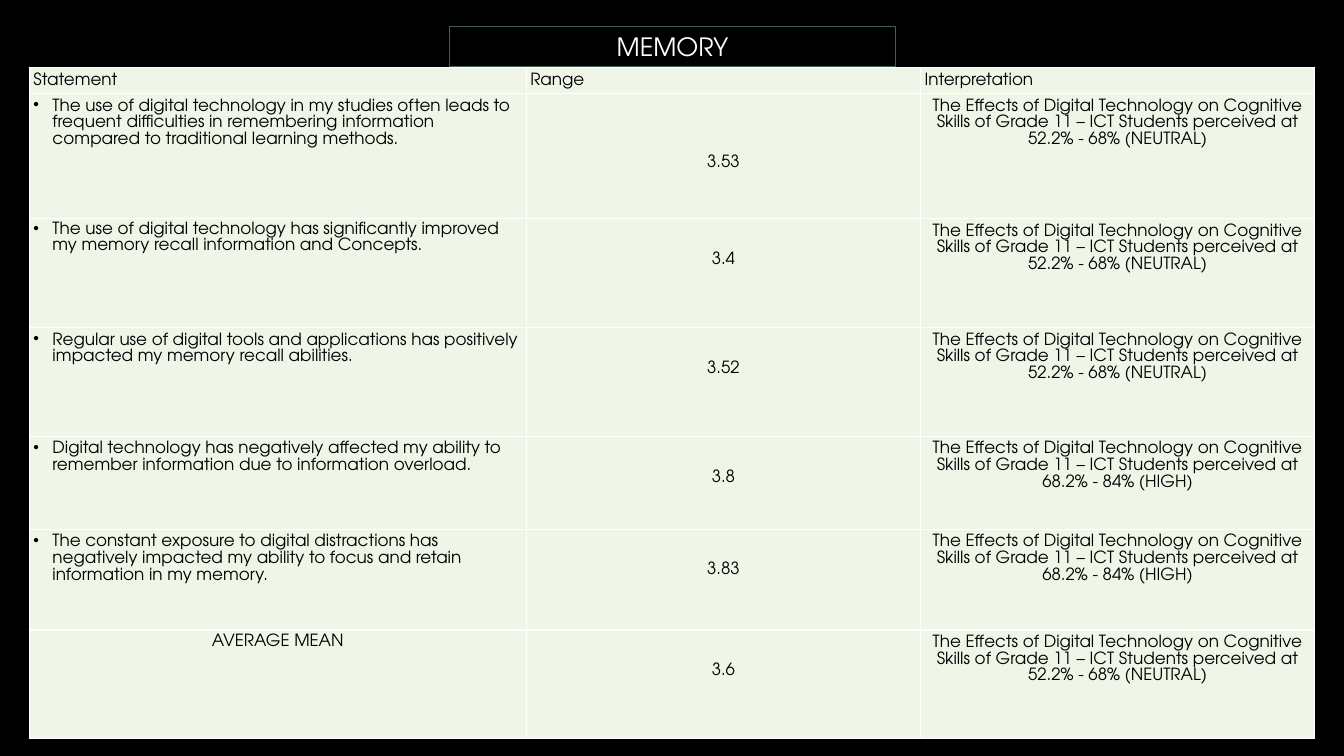
from lxml.etree import SubElement
from pptx import Presentation
from pptx.dml.color import RGBColor
from pptx.enum.text import MSO_ANCHOR, MSO_AUTO_SIZE, PP_ALIGN
from pptx.oxml.ns import qn
from pptx.util import Inches, Pt

FONT = "TeX Gyre Adventor"
COLORS = {"back": "000000", "cell": "EFF6E8", "ink": "000000",
          "title": "FFFFFF", "frame": "455F51", "rule": "FFFFFF"}
HEADS = ["Statement", "Range", "Interpretation"]
NEUTRAL = "52.2% - 68% (NEUTRAL)"
HIGH = "68.2% - 84% (HIGH)"
ITEMS = [
    ("The use of digital technology in my studies often leads to frequent difficulties in "
     "remembering information compared to traditional learning methods.", "3.53", NEUTRAL),
    ("The use of digital technology has significantly improved my memory recall "
     "information and Concepts.", "3.4", NEUTRAL),
    ("Regular use of digital tools and applications has positively impacted my memory "
     "recall abilities.", "3.52", NEUTRAL),
    ("Digital technology has negatively affected my ability to remember information due "
     "to information overload.", "3.8", HIGH),
    ("The constant exposure to digital distractions has\vnegatively impacted my ability "
     "to focus and retain information in my memory.", "3.83", HIGH),
    ("AVERAGE MEAN", "3.6", NEUTRAL),
]
WIDTHS = [4.93, 3.91, 3.91]
HEIGHTS = [0.26, 1.24, 1.08, 1.08, 0.92, 1, 1.08]
PAD = 0.04
STEP = 0.28


def color(name):
    return RGBColor.from_string(COLORS[name])


def style(para, size, name):
    para.font.name = FONT
    para.font.size = Pt(size)
    para.font.color.rgb = color(name)


def add_rules(cell):
    props = cell._tc.get_or_add_tcPr()
    for spot, side in enumerate(("lnL", "lnR", "lnT", "lnB")):
        line = props.makeelement(qn(f"a:{side}"), {"w": str(Pt(1))})
        fill = SubElement(line, qn("a:solidFill"))
        SubElement(fill, qn("a:srgbClr"), val=COLORS["rule"])
        props.insert(spot, line)


def add_bullet(para):
    props = para._p.get_or_add_pPr()
    props.set("marL", str(Inches(0.19)))
    props.set("indent", str(-Inches(0.19)))
    mark = props.makeelement(qn("a:buChar"), {"char": "•"})
    props.insert_element_before(mark, "a:tabLst", "a:defRPr", "a:extLst")


def fill_cell(cell, text, align=PP_ALIGN.LEFT, drop=0, tight=False):
    cell.margin_left = cell.margin_right = cell.margin_bottom = Inches(PAD)
    cell.margin_top = Inches(PAD + drop)
    cell.fill.solid()
    cell.fill.fore_color.rgb = color("cell")
    add_rules(cell)
    para = cell.text_frame.paragraphs[0]
    para.text = text
    para.alignment = align
    para.line_spacing = 0.97 if tight else 1.07
    para.space_after = Pt(0 if tight else 8)
    style(para, 12, "ink")
    return para


def add_title(slide):
    title = slide.shapes.title
    title.left, title.top = Inches(4.46), Inches(0.26)
    title.width, title.height = Inches(4.42), Inches(0.4)
    title.line.color.rgb = color("frame")
    title.line.width = Pt(0.75)
    frame = title.text_frame
    frame.auto_size = MSO_AUTO_SIZE.NONE
    frame.vertical_anchor = MSO_ANCHOR.MIDDLE
    para = frame.paragraphs[0]
    para.text = "MEMORY"
    para.alignment = PP_ALIGN.CENTER
    style(para, 18, "title")


def add_grid(slide):
    grid = slide.shapes.add_table(
        len(HEIGHTS), len(WIDTHS), Inches(0.29), Inches(0.67),
        Inches(sum(WIDTHS)), Inches(sum(HEIGHTS))).table
    grid.first_row = grid.horz_banding = False
    for col, width in zip(grid.columns, WIDTHS):
        col.width = Inches(width)
    for row, height in zip(grid.rows, HEIGHTS):
        row.height = Inches(height)
    for col, head in enumerate(HEADS):
        fill_cell(grid.cell(0, col), head)
    for row, (claim, score, level) in enumerate(ITEMS, 1):
        last = row == len(ITEMS)
        side = PP_ALIGN.CENTER if last else PP_ALIGN.LEFT
        para = fill_cell(grid.cell(row, 0), claim, side, tight=last or row == 2)
        if not last:
            add_bullet(para)
        fill_cell(grid.cell(row, 1), score, PP_ALIGN.CENTER, STEP * (2 if row == 1 else 1))
        fill_cell(grid.cell(row, 2),
                  "The Effects of Digital Technology on Cognitive Skills of Grade 11 – "
                  f"ICT Students perceived at {level}", PP_ALIGN.CENTER)


def main():
    deck = Presentation()
    deck.slide_width, deck.slide_height = Inches(13.33), Inches(7.5)
    slide = deck.slides.add_slide(deck.slide_layouts[5])
    slide.background.fill.solid()
    slide.background.fill.fore_color.rgb = color("back")
    add_title(slide)
    add_grid(slide)
    deck.save("out.pptx")


if __name__ == "__main__":
    main()
